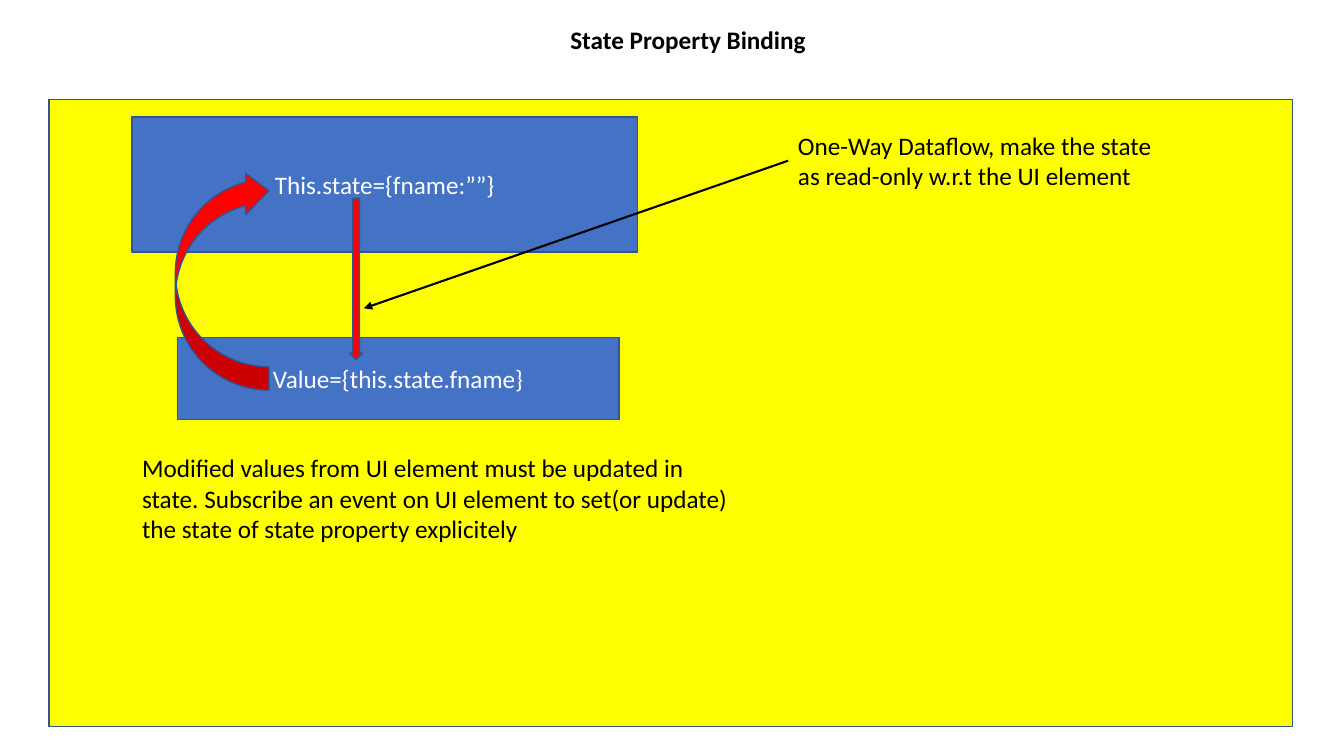
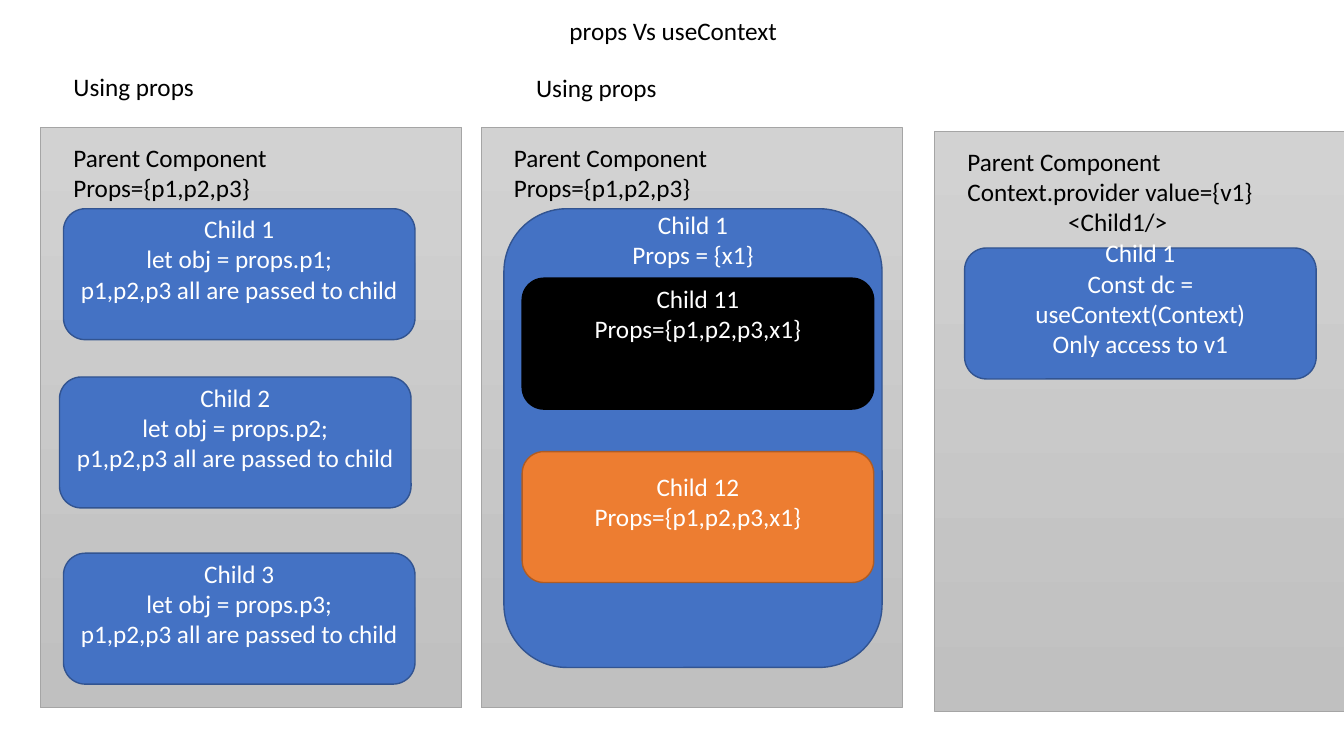
from lxml import etree
from pptx import Presentation
from pptx.dml.color import RGBColor
from pptx.enum import shapes, text
from pptx.oxml import ns
from pptx.util import Cm, Pt

BLACK = RGBColor(0x00, 0x00, 0x00)
WHITE = RGBColor(0xFF, 0xFF, 0xFF)
BLUE = RGBColor(0x44, 0x72, 0xC4)
DARK_BLUE = RGBColor(0x32, 0x54, 0x91)
YELLOW = RGBColor(0xFF, 0xFF, 0x00)
RED = RGBColor(0xFF, 0x00, 0x00)
ORANGE = RGBColor(0xED, 0x7D, 0x31)
DARK_ORANGE = RGBColor(0xAF, 0x5C, 0x24)
GREY_TOP = RGBColor(0xD2, 0xD2, 0xD2)
GREY_BOTTOM = RGBColor(0xC0, 0xC0, 0xC0)
GREY_LINE = RGBColor(0xA5, 0xA5, 0xA5)

FONT = {"name": "Calibri", "size": Pt(18)}
LINE_HEIGHT = 0.77
CARD_SIZE = (8.86, 3.3)
COLUMN_SIZE = (10.62, 14.63)
SHAPE = shapes.MSO_SHAPE
ALIGN = text.PP_ALIGN


def set_attributes(target, values):
    for name, value in values.items():
        setattr(target, name, value)


def write(frame, lines, color, align, bold=False):
    frame.text = "\n".join(lines)
    frame.word_wrap = True
    for paragraph in frame.paragraphs:
        paragraph.alignment = align
        for run in paragraph.runs:
            set_attributes(run.font, {**FONT, "bold": bold})
            run.font.color.rgb = color


def add_title(deck, wording, box, bold=False):
    """Add a title-only slide and return it."""
    slide = deck.slides.add_slide(deck.slide_layouts[5])
    title = slide.shapes.title
    set_attributes(title, dict(zip(("left", "top", "width", "height"), map(Cm, box))))
    write(title.text_frame, [wording], BLACK, ALIGN.CENTER, bold)
    set_attributes(title.text_frame, {"auto_size": text.MSO_AUTO_SIZE.NONE,
                                      "vertical_anchor": text.MSO_ANCHOR.TOP})
    return slide


def add_label(slide, box, *lines):
    label = slide.shapes.add_textbox(*map(Cm, box))
    write(label.text_frame, lines, BLACK, ALIGN.LEFT)
    label.text_frame.auto_size = text.MSO_AUTO_SIZE.SHAPE_TO_FIT_TEXT
    return label


def add_block(slide, kind, box, fill=BLUE, line=DARK_BLUE, lines=(), lines_below=0):
    """Draw a filled shape; lines_below keeps that many text lines free at its foot."""
    block = slide.shapes.add_shape(kind, *map(Cm, box))
    block.shadow.inherit = False
    block.fill.solid()
    block.fill.fore_color.rgb = fill
    block.line.color.rgb = line
    block.line.width = Pt(1)
    if lines:
        write(block.text_frame, lines, WHITE, ALIGN.CENTER)
        set_attributes(block.text_frame, {
            "vertical_anchor": text.MSO_ANCHOR.MIDDLE,
            "margin_top": 0,
            "margin_bottom": Cm(LINE_HEIGHT * lines_below),
        })
    return block


def add_pointer(slide, source, side, end_x, end_y):
    """Draw a black arrow from a side of source to a point."""
    pointer = slide.shapes.add_connector(
        shapes.MSO_CONNECTOR.STRAIGHT, 0, 0, Cm(end_x), Cm(end_y))
    pointer.begin_connect(source, side)
    pointer.line.color.rgb = BLACK
    pointer.line.width = Pt(1.5)
    etree.SubElement(pointer.line._get_or_add_ln(), ns.qn("a:tailEnd"), type="triangle")
    etree.SubElement(pointer._element.spPr, ns.qn("a:effectLst"))


def binding_panel(slide, left, top, width, height):
    def inside(x, y, w, h):
        return left + x, top + y, w, h

    add_block(slide, SHAPE.RECTANGLE, (left, top, width, height), YELLOW)
    add_block(slide, SHAPE.RECTANGLE, inside(3.23, 6, 11.13, 2.06),
              lines=["Value={this.state.fname}"])
    add_block(slide, SHAPE.RECTANGLE, inside(2.09, 0.44, 12.73, 3.4),
              lines=["This.state={fname:””}"])
    add_block(slide, SHAPE.DOWN_ARROW, inside(7.57, 2.49, 0.33, 4.06), RED)
    dataflow = add_label(slide, inside(18.62, 0.64, 9.53, 1.8),
                         "One-Way Dataflow, make the state as read-only w.r.t the UI element")
    add_pointer(slide, dataflow, 1, left + 7.93, top + 5.26)
    update_arrow = add_block(slide, SHAPE.CURVED_LEFT_ARROW,
                             inside(3.18, 1.78, 2.36, 5.54), RED)
    update_arrow.rotation = 180
    for index, value in enumerate((0.25, 0.44, 0.25)):
        update_arrow.adjustments[index] = value
    add_label(slide, inside(2.09, 8.77, 15.67, 2.57),
              "Modified values from UI element must be updated in state. "
              "Subscribe an event on UI element to set(or update) "
              "the state of state property explicitely")


def parent_column(slide, left, top, parent_lines):
    """Draw a grey parent component and return its text label."""
    parent = add_block(slide, SHAPE.RECTANGLE, (left, top, *COLUMN_SIZE), line=GREY_LINE)
    parent.line.width = Pt(0.5)
    parent.fill.gradient()
    parent.fill.gradient_angle = 270
    for stop, color in zip(parent.fill.gradient_stops, (GREY_TOP, GREY_BOTTOM)):
        stop.color.rgb = color
    height = 0.25 + LINE_HEIGHT * len(parent_lines)
    return add_label(slide, (left + 0.58, top + 0.25, 9.19, height), *parent_lines)


def child_card(slide, left, top, lines, size=CARD_SIZE, lines_below=1,
               fill=BLUE, line=DARK_BLUE):
    add_block(slide, SHAPE.ROUNDED_RECTANGLE, (left, top, *size), fill, line,
              lines, lines_below)


def heading(slide, left, top):
    add_label(slide, (left, top, 8.66, 1.02), "Using props")


def siblings_column(slide, left, top):
    parent_column(slide, left, top, ["Parent Component", "Props={p1,p2,p3}"])
    heading(slide, left + 0.58, top - 1.52)
    offsets = ((0.58, 2.06), (0.48, 6.3), (0.58, 10.74))
    for number, (x, y) in enumerate(offsets, 1):
        child_card(slide, left + x, top + y,
                   [f"Child {number}", f"let obj = props.p{number};",
                    "p1,p2,p3 all are passed to child"])


def nested_column(slide, left, top):
    parent_column(slide, left, top, ["Parent Component", "Props={p1,p2,p3}"])
    heading(slide, left + 1.14, top - 1.5)
    child_card(slide, left + 0.58, top + 2.06, ["Child 1", "Props = {x1}"],
               size=(9.53, 11.56), lines_below=13)
    grandchildren = (("Child 11", 3.81, 2, BLACK, BLACK),
                     ("Child 12", 8.18, 1, ORANGE, DARK_ORANGE))
    for name, y, lines_below, fill, line in grandchildren:
        child_card(slide, left + 1.04, top + y, [name, "Props={p1,p2,p3,x1}"],
                   lines_below=lines_below, fill=fill, line=line)


def context_column(slide, left, top):
    label = parent_column(slide, left, top, [
        "Parent Component", "Context.provider value={v1}", "<Child1/>"])
    nested_tag = label.text_frame.paragraphs[-1]
    nested_tag._p.get_or_add_pPr().set("marL", str(Cm(2.54)))
    child_card(slide, left + 0.76, top + 2.95,
               ["Child 1", "Const dc = useContext(Context)", "Only access to v1"])


def main():
    deck = Presentation()
    deck.slide_width, deck.slide_height = Cm(33.87), Cm(19.05)

    binding = add_title(deck, "State Property Binding", (5.49, 0.48, 23.7, 1.02), bold=True)
    binding_panel(binding, 1.24, 2.51, 31.34, 15.8)

    comparison = add_title(deck, "props Vs useContext", (0.33, 0.25, 33.27, 1.07))
    siblings_column(comparison, 1.02, 3.2)
    nested_column(comparison, 12.12, 3.2)
    context_column(comparison, 23.55, 3.3)

    deck.save("out.pptx")


if __name__ == "__main__":
    main()
